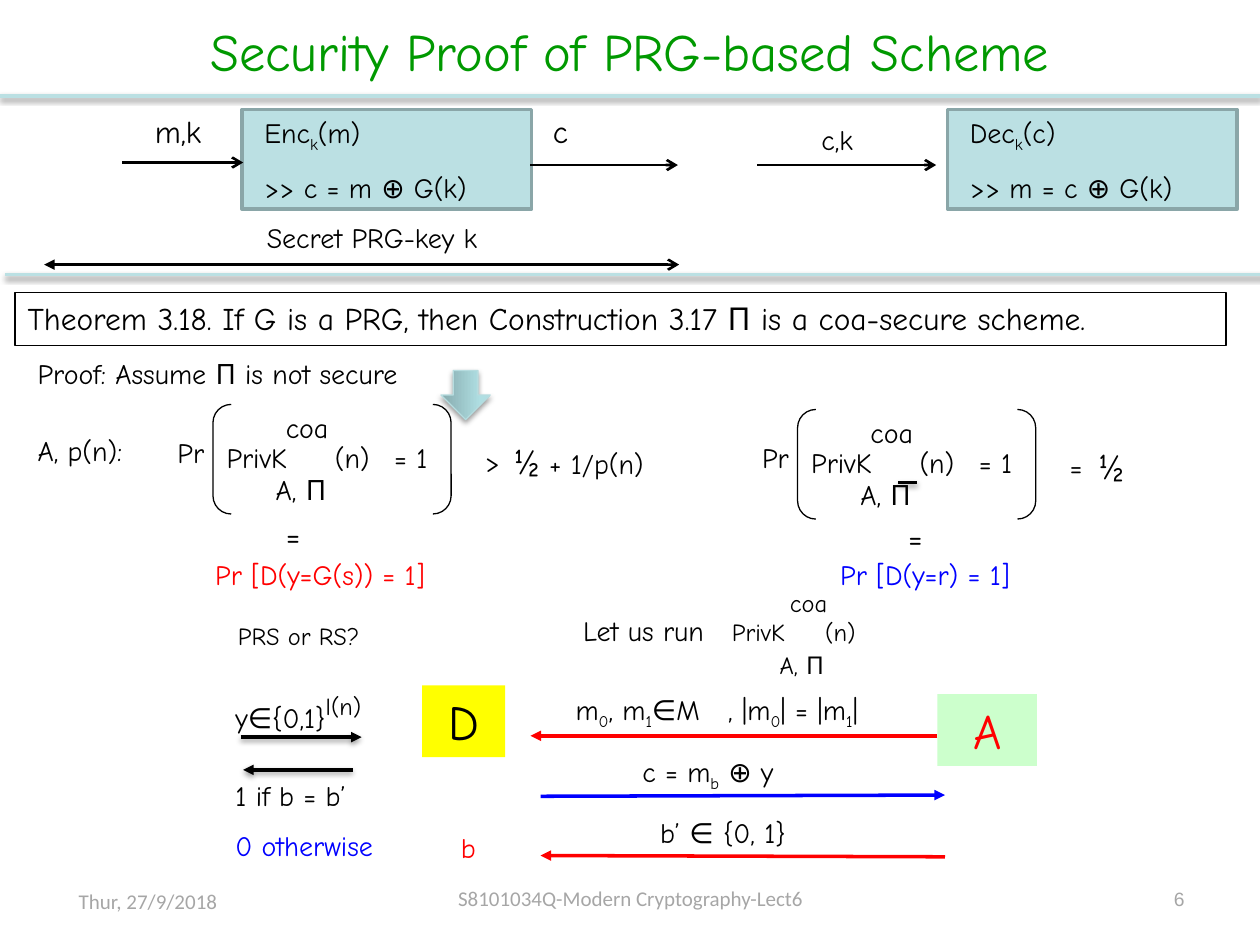
"""Build the slide on the security proof of the PRG-based scheme."""
from lxml import etree
from pptx import Presentation
from pptx.dml.color import RGBColor
from pptx.enum import shapes, text
from pptx.oxml import parse_xml
from pptx.oxml.ns import nsdecls, qn
from pptx.util import Inches, Pt

colour = RGBColor.from_string
LEFT, CENTER, RIGHT = text.PP_ALIGN.LEFT, text.PP_ALIGN.CENTER, text.PP_ALIGN.RIGHT
BLACK, RED, BLUE, GREY, PALE = "000000", "FF0000", "0000FF", "A6A6A6", "BBE0E3"
PLAIN, SUB, SUPER = {}, {"baseline": -25000}, {"baseline": 30000, "size": 24}


def write(left, top, width, height, *paragraphs, size=16, ink=BLACK,
          font="Comic Neue", align=LEFT, fill=None):
    """Add a text box; a paragraph is a string or a list of (text, overrides)."""
    box = slide.shapes.add_textbox(Inches(left), Inches(top), Inches(width), Inches(height))
    box.text_frame.word_wrap = True
    if fill:
        box.fill.solid()
        box.fill.fore_color.rgb = colour(fill)
    for index, runs in enumerate(paragraphs):
        paragraph = box.text_frame.add_paragraph() if index else box.text_frame.paragraphs[0]
        paragraph.alignment = align
        if index:
            paragraph.space_before = Pt(9.6)
        for words, style in [(runs, PLAIN)] if isinstance(runs, str) else runs:
            run = paragraph.add_run()
            run.text = words
            run.font.name = font
            run.font.size = Pt(style.get("size", size))
            run.font.color.rgb = colour(style.get("ink", ink))
            if "baseline" in style:
                run.font._element.set("baseline", str(style["baseline"]))
    return box


def draw_line(x1, y1, x2, y2, ink=BLACK, width=2, head=None, tail=None):
    """Add a straight line with optional arrowheads at its two ends."""
    line = slide.shapes.add_connector(
        shapes.MSO_CONNECTOR.STRAIGHT, Inches(x1), Inches(y1), Inches(x2), Inches(y2))
    line.line.color.rgb = colour(ink)
    line.line.width = Pt(width)
    outline = line.line._get_or_add_ln()
    for end, kind in (("a:headEnd", head), ("a:tailEnd", tail)):
        if kind:
            etree.SubElement(outline, qn(end)).set("type", kind)
    etree.SubElement(line._element.spPr, qn("a:effectLst"))
    return line


presentation = Presentation()
presentation.slide_width = Inches(10)
presentation.slide_height = Inches(7.5)
slide = presentation.slides.add_slide(presentation.slide_layouts[5])
shadowed = []

title = slide.shapes.title
title.left, title.top, title.width, title.height = (
    Inches(-0.04), Inches(0.05), Inches(10.08), Inches(0.71))
title.text_frame.vertical_anchor = text.MSO_ANCHOR.MIDDLE
paragraph = title.text_frame.paragraphs[0]
paragraph.alignment = CENTER
run = paragraph.add_run()
run.text = "Security Proof of PRG-based Scheme"
run.font.name = "Comic Neue"
run.font.size = Pt(30)
run.font.color.rgb = colour("009900")

for left, top in ((0, 0.76), (0.04, 2.18)):
    shadowed.append(draw_line(left, top, left + 10, top, PALE))

for left, name, argument, rule in (
        (1.92, "Enc", "(m)", ">> c = m ⊕ G(k)"),
        (7.52, "Dec", "(c)", ">> m = c ⊕ G(k)")):
    block = slide.shapes.add_shape(
        shapes.MSO_SHAPE.RECTANGLE, Inches(left), Inches(0.87), Inches(2.3), Inches(0.79))
    block.shadow.inherit = False
    block.fill.solid()
    block.fill.fore_color.rgb = colour(PALE)
    block.line.color.rgb = colour("8AA6A8")
    block.line.width = Pt(2)
    write(left + 0.08, 0.87, 2.36, 0.77, [(name, PLAIN), ("k", SUB), (argument, PLAIN)], rule)

for start, end, top, head in (
        (0.97, 1.93, 1.29, None), (4.21, 5.38, 1.31, None),
        (6.01, 7.43, 1.31, None), (0.35, 5.39, 2.1, "triangle")):
    draw_line(start, top, end, top, width=1.5, head=head, tail="arrow")
write(1.13, 0.84, 0.62, 0.4, "m,k", size=18)
write(4.29, 0.84, 1.02, 0.4, "c", size=18)
write(6.42, 0.92, 1.09, 0.37, "c,k")
write(2.02, 1.7, 2.2, 0.37, "Secret PRG-key k")

theorem = write(
    0.12, 2.32, 9.61, 0.42,
    "Theorem 3.18. If G is a PRG, then Construction 3.17 Π is a coa-secure scheme.", size=18)
theorem.line.color.rgb = colour(BLACK)
theorem.line.width = Pt(0.75)
write(0.2, 2.78, 3.46, 0.37, "Proof: Assume Π is not secure")
write(0.2, 3.39, 1.1, 0.37, "A, p(n):")

arrow = slide.shapes.add_shape(
    shapes.MSO_SHAPE.DOWN_ARROW, Inches(3.5), Inches(2.94), Inches(0.39), Inches(0.39))
arrow.shadow.inherit = False
arrow.fill.gradient()
arrow.fill.gradient_angle = 0
for stop, position, ink in zip(arrow.fill.gradient_stops, (0, 0.8), ("87ABAE", "AFDEE2")):
    stop.position = position
    stop.color.rgb = colour(ink)
arrow.line.color.rgb = colour("B6DCDF")
arrow.line.width = Pt(0.75)
shadowed.append(arrow)

for left, top, relation, bound in (
        (1.31, 3.41, ">", [("½", {"size": 20}), (" + 1/p(n)", PLAIN)]),
        (5.95, 3.45, "=", [("½", {"size": 20})])):
    for dx, dy, width, words in (
            (0, 0, 0.62, "Pr"), (0.39, 0.04, 0.8, "PrivK"), (1.25, 0.04, 0.6, "(n)"),
            (0.78, 0.29, 0.7, "A, Π"), (0.86, -0.2, 1.1, "coa"), (1.72, 0.04, 0.62, "= 1"),
            (2.44, 0.07, 0.62, relation), (2.67, 0.03, 1.73, bound)):
        write(left + dx, top + dy, width, 0.37, words)
    bracket = slide.shapes.add_shape(
        shapes.MSO_SHAPE.DOUBLE_BRACKET, Inches(left + 0.38), Inches(top - 0.2),
        Inches(1.89), Inches(0.87))
    bracket.shadow.inherit = False
    bracket.fill.background()
    bracket.line.color.rgb = colour(BLACK)
    bracket.line.width = Pt(0.75)
shadowed.append(draw_line(7.13, 3.83, 7.28, 3.83))

write(2.17, 4.05, 0.35, 0.4, "=", size=18)
write(7.11, 4.06, 0.35, 0.4, "=", size=18)
write(1.61, 4.38, 2.44, 0.37, "Pr [D(y=G(s)) = 1]", ink=RED)
write(6.57, 4.38, 1.97, 0.37, "Pr [D(y=r) = 1]", ink=BLUE)

write(4.53, 4.82, 1.2, 0.37, "Let us run")
for left, top, width, words in (
        (1.79, 4.88, 1.27, "PRS or RS?"), (5.71, 4.85, 0.8, "PrivK"),
        (6.45, 4.85, 0.6, "(n)"), (6.09, 5.11, 0.7, "A, Π"), (6.17, 4.62, 0.7, "coa")):
    write(left, top, width, 0.34, words, size=14)

write(3.35, 5.44, 0.66, 0.57, "D", size=28, align=CENTER, fill="FFFF00")
write(7.44, 5.51, 0.79, 0.57, "A", size=28, ink=RED, align=CENTER, fill="CCFFCC")

write(1.77, 5.4, 1.33, 0.37, [("y∈{0,1}", PLAIN), ("l(n)", SUPER)])
write(1.77, 6.13, 1.52, 0.77, "1 if b = b’", [("0 otherwise", {"ink": BLUE})])
shadowed.append(draw_line(1.91, 5.85, 2.87, 5.85, tail="triangle"))
shadowed.append(draw_line(2.8, 6.11, 1.93, 6.11, tail="triangle"))

draw_line(7.44, 5.84, 4.21, 5.84, RED, tail="triangle")
draw_line(4.29, 6.32, 7.5, 6.31, BLUE, tail="triangle")
draw_line(7.5, 6.8, 4.29, 6.79, RED, tail="triangle")
write(4.47, 5.45, 1.3, 0.37,
      [("m", PLAIN), ("0", SUB), (", m", PLAIN), ("1", SUB), ("∈M", PLAIN)])
write(5.68, 5.45, 1.75, 0.37,
      [(", |m", PLAIN), ("0", SUB), ("| = |m", PLAIN), ("1", SUB), ("|", PLAIN)])
write(5, 5.94, 2.23, 0.37, [("c = m", PLAIN), ("b", SUB), (" ⊕ y", PLAIN)])
write(5.14, 6.42, 2.23, 0.37, "b’ ∈ {0, 1}")
write(3.56, 6.54, 0.39, 0.37, "b", ink=RED)

write(0.01, 7, 2.33, 0.29, "Thur, 27/9/2018", size=12, ink=GREY, font="Calibri", align=CENTER)
write(3.42, 6.98, 3.17, 0.29, "S8101034Q-Modern Cryptography-Lect6",
      size=12, ink=GREY, font="Calibri", align=CENTER)
write(9.06, 6.99, 0.44, 0.39, "6", size=11, ink=GREY, font="Arial", align=RIGHT)

for shape in shadowed:
    shape._element.spPr.find(qn("a:effectLst")).append(parse_xml(
        f'<a:outerShdw {nsdecls("a")} blurRad="{Pt(3.1)}" dist="{Pt(1.6)}" dir="5400000" '
        'rotWithShape="0"><a:srgbClr val="000000"><a:alpha val="38000"/></a:srgbClr>'
        '</a:outerShdw>'))

presentation.save("out.pptx")
